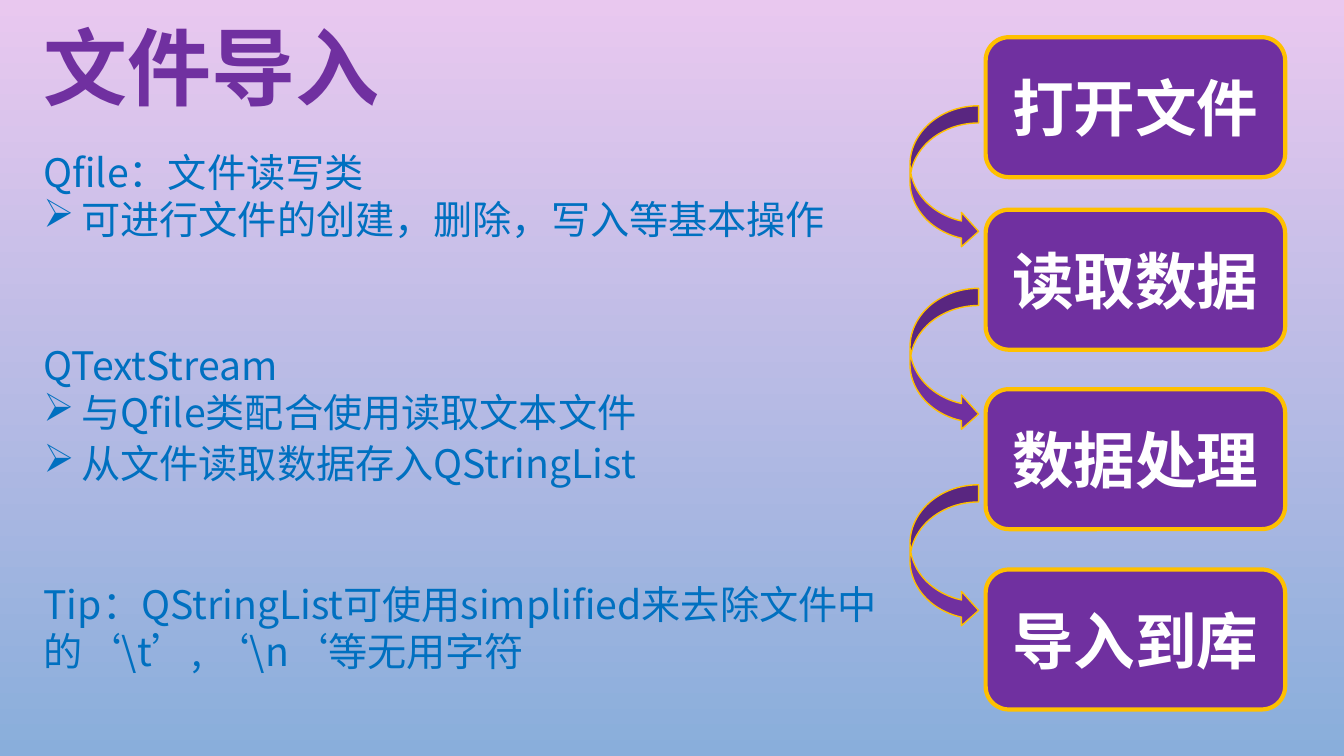
from lxml import etree
from pptx import Presentation
from pptx.dml.color import RGBColor
from pptx.enum.shapes import MSO_SHAPE
from pptx.enum.text import MSO_ANCHOR, MSO_AUTO_SIZE, PP_ALIGN
from pptx.oxml.ns import qn
from pptx.util import Pt

ROUNDED = MSO_SHAPE.ROUNDED_RECTANGLE
CURVED_ARROW = MSO_SHAPE.CURVED_RIGHT_ARROW
LEFT, CENTER = PP_ALIGN.LEFT, PP_ALIGN.CENTER
TOP, MIDDLE = MSO_ANCHOR.TOP, MSO_ANCHOR.MIDDLE
GROW = MSO_AUTO_SIZE.SHAPE_TO_FIT_TEXT

FONT = "Noto Sans CJK SC"
COLORS = {
    "sky_top": "E9C8EF",
    "sky_bottom": "89AEDB",
    "purple": "7030A0",
    "gold": "FFC000",
    "white": "FFFFFF",
    "blue": "0070C0",
}
BULLET = "➢"
BULLET_INDENT = 27
MARGIN = 24

STEPS = [
    ("打开文件", 26.6),
    ("读取数据", 149.8),
    ("数据处理", 278),
    ("导入到库", 406.8),
]
ARROW_TOPS = [75.6, 206, 346.3]
NOTES = [
    (102.2, 579, 108.7, [
        ("Qfile：文件读写类", False, 0),
        ("可进行文件的创建，删除，写入等基本操作", True, 0),
    ]),
    (240.5, 590, 74.9, [
        ("QTextStream", False, 0),
        ("与Qfile类配合使用读取文本文件", True, 0),
    ]),
    (310.3, 620.6, 177, [
        ("从文件读取数据存入QStringList", True, 0),
        ("Tip：QStringList可使用simplified来去除文件中的‘\\t’, ‘\\n‘等无用字符", False, 67),
    ]),
]


def color(name):
    return RGBColor.from_string(COLORS[name])


class SlideBuilder:
    def __init__(self, deck):
        self.slide = deck.slides.add_slide(deck.slide_layouts[5])

    def background(self, first, last):
        fill = self.slide.background.fill
        fill.gradient()
        fill.gradient_angle = 270
        for stop, name in zip(fill.gradient_stops, (first, last)):
            stop.color.rgb = color(name)

    def style(self, para, size, name, bold=False, align=LEFT):
        para.alignment = align
        font = para.font
        font.size, font.bold, font.name = Pt(size), bold, FONT
        font.color.rgb = color(name)
        properties = para._p.pPr.find(qn("a:defRPr"))
        east_asian = etree.Element(qn("a:ea"), typeface=FONT)
        properties.find(qn("a:latin")).addnext(east_asian)

    def bullet(self, para):
        properties = para._p.pPr
        properties.set("marL", str(Pt(BULLET_INDENT)))
        properties.set("indent", str(-Pt(BULLET_INDENT)))
        mark = etree.Element(qn("a:buChar"), char=BULLET)
        properties.find(qn("a:defRPr")).addprevious(mark)

    def title(self, text, left, top, width, height):
        box = self.slide.shapes.title
        box.left, box.top = Pt(left), Pt(top)
        box.width, box.height = Pt(width), Pt(height)
        frame = box.text_frame
        frame.text = text
        frame.word_wrap = False
        frame.auto_size = GROW
        frame.vertical_anchor = TOP
        self.style(frame.paragraphs[0], 60, "purple", bold=True)

    def shape(self, kind, left, top, width, height, line_width):
        shape = self.slide.shapes.add_shape(
            kind, Pt(left), Pt(top), Pt(width), Pt(height))
        shape.shadow.inherit = False
        shape.fill.solid()
        shape.fill.fore_color.rgb = color("purple")
        shape.line.color.rgb = color("gold")
        shape.line.width = Pt(line_width)
        return shape

    def step(self, text, top):
        frame = self.shape(ROUNDED, 704, top, 214, 100, 3).text_frame
        frame.text = text
        frame.vertical_anchor = MIDDLE
        self.style(frame.paragraphs[0], 44, "white", bold=True, align=CENTER)

    def arrow(self, top):
        self.shape(CURVED_ARROW, 650, top, 49, 102, 1)

    def note(self, top, width, height, lines):
        box = self.slide.shapes.add_textbox(
            Pt(MARGIN), Pt(top), Pt(width), Pt(height))
        frame = box.text_frame
        frame.word_wrap = True
        frame.auto_size = GROW
        for index, (text, bulleted, gap) in enumerate(lines):
            para = frame.add_paragraph() if index else frame.paragraphs[0]
            para.text = text
            para.space_before = Pt(gap)
            self.style(para, 28, "blue")
            if bulleted:
                self.bullet(para)


def main():
    deck = Presentation()
    deck.slide_width, deck.slide_height = Pt(960), Pt(540)
    page = SlideBuilder(deck)
    page.background("sky_top", "sky_bottom")
    page.title("文件导入", MARGIN, 7.2, 257, 80)
    for text, top in STEPS:
        page.step(text, top)
    for top in ARROW_TOPS:
        page.arrow(top)
    for note in NOTES:
        page.note(*note)
    deck.save("out.pptx")


if __name__ == "__main__":
    main()
